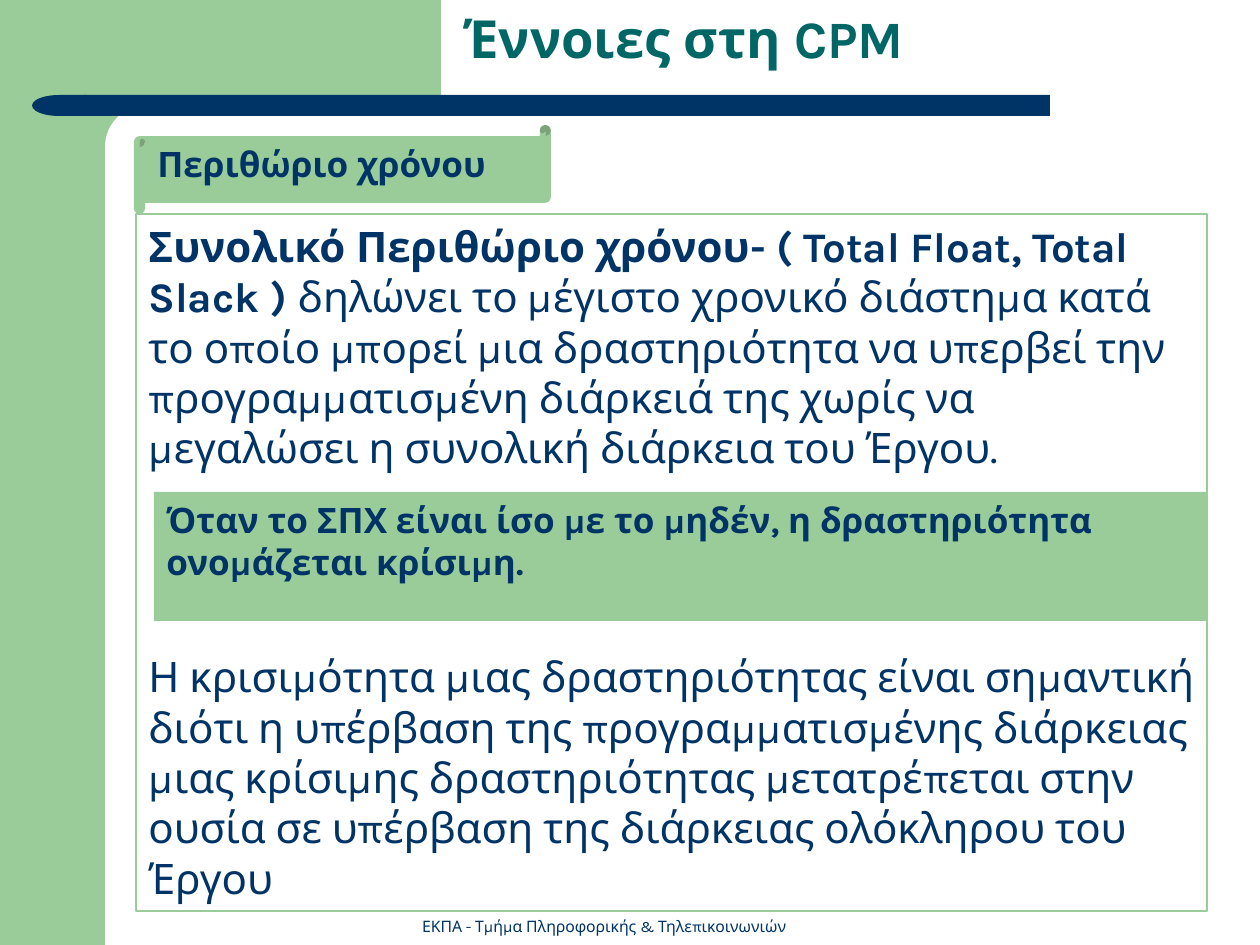
from pptx import Presentation, util as u
from pptx.dml.color import RGBColor
from pptx.enum import shapes, text

PX = 914400 / 126  # EMU in one px
SHAPE = shapes.MSO_SHAPE
FONT = "Karla"
COLORS = {"green": "99CC99", "navy": "003366", "teal": "006666", "white": "FFFFFF"}


def rgb(name):
    return RGBColor.from_string(COLORS[name])


def emu(box):
    return [u.Emu(round(v * PX)) for v in box]


def add_block(s, kind, box, fill=None, line=None, adj=None):
    sp = s.shapes.add_shape(kind, *emu(box))
    sp.shadow.inherit = False
    if fill:
        sp.fill.solid()
        sp.fill.fore_color.rgb = rgb(fill)
    else:
        sp.fill.background()
    if line:
        sp.line.color.rgb = rgb(line)
        sp.line.width = u.Pt(0.75)
    else:
        sp.line.fill.background()
    if adj is not None:
        sp.adjustments[0] = adj
    return sp


def write(sp, paragraphs, size, color="navy", bold=False,
          align=text.PP_ALIGN.LEFT, anchor=text.MSO_ANCHOR.TOP):
    tf = sp.text_frame
    tf.word_wrap = True
    tf.vertical_anchor = anchor
    tf.text = "\n".join(paragraphs)
    for p in tf.paragraphs:
        p.alignment = align
        for r in p.runs:
            style(r, size, color, bold)
    return tf


def style(r, size, color, bold):
    r.font.name = FONT
    r.font.size = u.Pt(size)
    r.font.bold = bold
    r.font.color.rgb = rgb(color)


def add_backdrop(s, x, y, w, h):
    # Green side band and top block, with a rounded white corner
    add_block(s, SHAPE.RECTANGLE, (x, y, 105, h), "green")
    add_block(s, SHAPE.RECTANGLE, (x + 95, y, 346, 147), "green")
    add_block(s, SHAPE.ROUNDED_RECTANGLE, (x + 105, y + 105, 703, 84), "white", adj=0.5)
    # Navy bar with a round left end
    add_block(s, SHAPE.RECTANGLE, (x + 84, y + 95, 966, 21), "navy")
    cap = add_block(s, SHAPE.FLOWCHART_DELAY, (x + 32, y + 95, 54, 21), "navy")
    cap.rotation = 180


def add_title(s, x, y, w, h):
    tb = s.shapes.add_textbox(*emu((x, y, w, h)))
    write(tb, ["Έννοιες στη CPM"], 30, "teal", True)


def add_footer(s, x, y, w, h):
    tb = s.shapes.add_textbox(*emu((x, y, w, h)))
    write(tb, ["ΕΚΠΑ - Τμήμα Πληροφορικής & Τηλεπικοινωνιών"], 9,
          align=text.PP_ALIGN.CENTER, anchor=text.MSO_ANCHOR.BOTTOM)


def add_definition(s, x, y, w, h):
    # Framed text
    frame = add_block(s, SHAPE.RECTANGLE, (x, y, w, h), line="green")
    tf = write(frame, [
        "Συνολικό Περιθώριο χρόνου- ( Total Float, Total Slack ) ",
        "Η κρισιμότητα μιας δραστηριότητας είναι σημαντική διότι η υπέρβαση της "
        "προγραμματισμένης διάρκειας μιας κρίσιμης δραστηριότητας μετατρέπεται "
        "στην ουσία σε υπέρβαση της διάρκειας ολόκληρου του Έργου",
    ], 24)
    term, closing = tf.paragraphs
    term.runs[0].font.bold = True
    r = term.add_run()
    r.text = ("δηλώνει το μέγιστο χρονικό διάστημα κατά το οποίο μπορεί μια "
              "δραστηριότητα να υπερβεί την προγραμματισμένη διάρκειά της χωρίς "
              "να μεγαλώσει η συνολική διάρκεια του Έργου.")
    style(r, 24, "navy", False)
    closing.space_before = u.Pt(102)  # room for the banner

    # Scroll heading above the frame
    scroll = add_block(s, SHAPE.HORIZONTAL_SCROLL, (x - 2, y - 89, 417, 89),
                       "green", adj=0.125)
    write(scroll, ["Περιθώριο χρόνου"], 20, bold=True)

    # Banner between the two paragraphs
    banner = add_block(s, SHAPE.RECTANGLE, (x + 18, y + 278, w - 19, 129), "green")
    write(banner, ["Όταν το ΣΠΧ είναι ίσο με το μηδέν, η δραστηριότητα",
                   "ονομάζεται κρίσιμη."], 20, bold=True)


def main():
    prs = Presentation()
    prs.slide_width, prs.slide_height = emu((1260, 945))
    s = prs.slides.add_slide(prs.slide_layouts[6])
    add_backdrop(s, 0, 0, 1260, 945)
    add_footer(s, 404, 910, 400, 32)
    add_definition(s, 136, 214, 1071, 697)
    add_title(s, 451, 0, 788, 76)
    prs.save("out.pptx")


if __name__ == "__main__":
    main()
